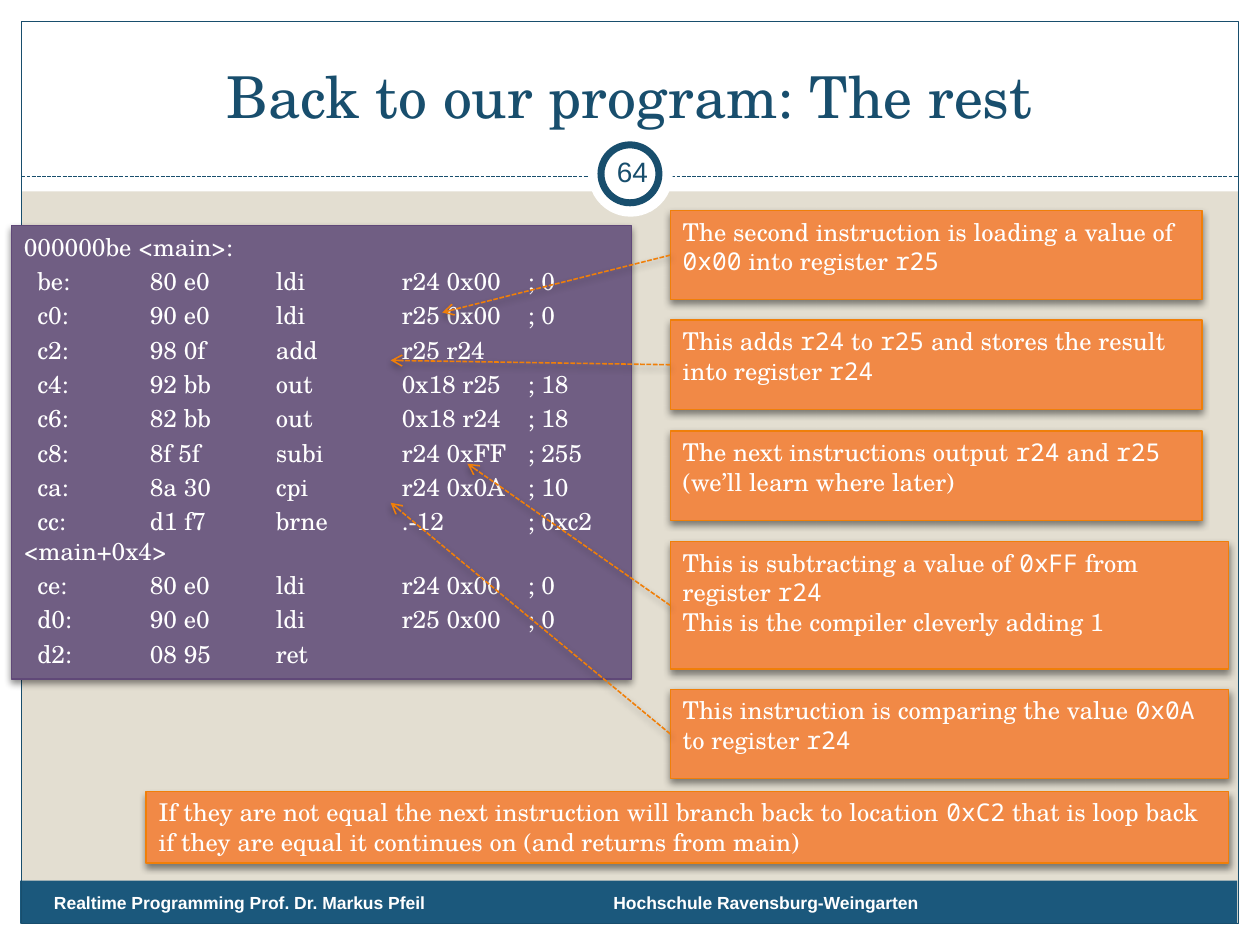
from dataclasses import dataclass
from typing import Optional

from lxml import etree
from pptx import Presentation
from pptx.dml.color import RGBColor
from pptx.enum.dml import MSO_LINE_DASH_STYLE as Dash
from pptx.enum.shapes import MSO_CONNECTOR, MSO_SHAPE as Preset
from pptx.enum.text import MSO_ANCHOR as Anchor, MSO_AUTO_SIZE as AutoSize, PP_ALIGN as Align
from pptx.oxml.ns import qn
from pptx.util import Inches, Pt

SERIF, MONO, SANS = "TeX Gyre Schola", "Noto Sans Mono", "Arial"
WHITE, NAVY, TEAL, SAND = "FFFFFF", "184E6D", "1B587C", "E3DED1"
PURPLE, PURPLE_EDGE = "705E83", "604878"
ORANGE, ORANGE_EDGE = "F18946", "F07F09"


@dataclass
class Callout:
    """A note whose `backticked` words are set in the mono font."""
    left: float
    top: float
    width: float
    height: float
    lines: list[str]
    target: Optional[tuple[float, float]] = None


CODE = """000000be <main>:
  be:\t80 e0\tldi\tr24 0x00\t; 0
  c0:\t90 e0\tldi\tr25 0x00\t; 0
  c2:\t98 0f\tadd\tr25 r24
  c4:\t92 bb\tout\t0x18 r25\t; 18
  c6:\t82 bb\tout\t0x18 r24\t; 18
  c8:\t8f 5f\tsubi\tr24 0xFF\t; 255
  ca:\t8a 30\tcpi\tr24 0x0A\t; 10
  cc:\td1 f7\tbrne\t.-12\t; 0xc2 <main+0x4>
  ce:\t80 e0\tldi\tr24 0x00\t; 0
  d0:\t90 e0\tldi\tr25 0x00\t; 0
  d2:\t08 95\tret"""

CALLOUTS = [
    Callout(5.32, 1.67, 4.22, 0.71,
            ["The second instruction is loading a value of `0x00` into register `r25`"], (3.51, 2.48)),
    Callout(5.32, 2.54, 4.22, 0.71,
            ["This adds `r24` to `r25` and stores the result into register `r24`"], (3.1, 2.86)),
    Callout(5.32, 3.42, 4.22, 0.71,
            ["The next instructions output `r24` and `r25` (we’ll learn where later)"]),
    Callout(5.32, 4.3, 4.43, 1.01,
            ["This is subtracting a value of `0xFF` from register `r24`",
             "This is the compiler cleverly adding 1"], (3.71, 3.68)),
    Callout(5.32, 5.47, 4.43, 0.71,
            ["This instruction is comparing the value `0x0A` to register `r24`"], (3.1, 3.99)),
    Callout(1.16, 6.28, 8.59, 0.57,
            ["If they are not equal the next instruction will branch back to location `0xC2` "
             "that is loop back if they are equal it continues on (and returns from main)"]),
]


def color(value: str) -> RGBColor:
    return RGBColor.from_string(value)


def add_effects(shape, opacity: int = 0) -> None:
    """Give the shape a soft drop shadow, or an empty effect list at zero opacity."""
    effects = etree.SubElement(shape._element.spPr, qn("a:effectLst"))
    if opacity:
        shadow = etree.SubElement(effects, qn("a:outerShdw"), blurRad=str(Pt(4)), dist=str(Pt(2)),
                                  dir=str(90 * 60000), rotWithShape="0")
        black = etree.SubElement(shadow, qn("a:srgbClr"), val="000000")
        etree.SubElement(black, qn("a:alpha"), val=str(opacity * 1000))


def add_panel(page, left: float, top: float, width: float, height: float, fill: Optional[str] = None,
              edge: Optional[str] = None, weight: float = 0.75, preset=Preset.RECTANGLE,
              shadow: int = 0):
    panel = page.shapes.add_shape(preset, Inches(left), Inches(top), Inches(width), Inches(height))
    if fill:
        panel.fill.solid()
        panel.fill.fore_color.rgb = color(fill)
    else:
        panel.fill.background()
    if edge:
        panel.line.color.rgb = color(edge)
        panel.line.width = Pt(weight)
    else:
        panel.line.fill.background()
    if shadow:
        add_effects(panel, shadow)
    else:
        panel.shadow.inherit = False
    panel.text_frame.word_wrap = True
    panel.text_frame.vertical_anchor = Anchor.TOP
    return panel


def add_dashed_line(page, start: tuple[float, float], end: tuple[float, float], ink: str, weight: float):
    line = page.shapes.add_connector(MSO_CONNECTOR.STRAIGHT, *map(Inches, start + end))
    line.line.color.rgb = color(ink)
    line.line.width = Pt(weight)
    line.line.dash_style = Dash.SQUARE_DOT
    return line


def style(para, size: float, ink: str, align=Align.LEFT, name: Optional[str] = None, bold: bool = False) -> None:
    para.alignment = align
    para.font.size = Pt(size)
    para.font.color.rgb = color(ink)
    para.font.bold = bold
    if name:
        para.font.name = name


def add_label(page, left: float, top: float, width: float, height: float, text: str, size: float,
              ink: str, name: str, align=Align.LEFT, anchor=Anchor.TOP, bold: bool = False):
    box = page.shapes.add_textbox(Inches(left), Inches(top), Inches(width), Inches(height))
    box.text_frame.word_wrap = True
    box.text_frame.vertical_anchor = anchor
    box.text_frame.text = text
    style(box.text_frame.paragraphs[0], size, ink, align, name, bold)
    return box


def add_code(page) -> None:
    frame = add_panel(page, 0.09, 1.79, 4.92, 3.6, PURPLE, PURPLE_EDGE, shadow=45).text_frame
    frame.text = CODE
    for index, para in enumerate(frame.paragraphs):
        para.space_before = Pt(2.8 if index else 0)
        tabs = etree.SubElement(para._p.get_or_add_pPr(), qn("a:tabLst"))
        for stop in range(1, 5):
            etree.SubElement(tabs, qn("a:tab"), pos=str(Inches(stop)), algn="l")
        style(para, 14, WHITE, name=SERIF)


def add_callout(page, note: Callout) -> None:
    panel = add_panel(page, note.left, note.top, note.width, note.height, ORANGE, ORANGE_EDGE, shadow=45)
    frame = panel.text_frame
    for index, line in enumerate(note.lines):
        para = frame.add_paragraph() if index else frame.paragraphs[0]
        style(para, 14, WHITE)
        for position, part in enumerate(line.split("`")):
            if part:
                span = para.add_run()
                span.text = part
                span.font.name = MONO if position % 2 else SERIF
    if note.target:
        start = (note.left, note.top + note.height / 2)
        arrow = add_dashed_line(page, start, note.target, ORANGE_EDGE, 0.9)
        arrow.begin_connect(panel, 1)
        etree.SubElement(arrow.line._get_or_add_ln(), qn("a:tailEnd"), type="arrow")
        add_effects(arrow, 35)


def add_frame(page) -> None:
    """Draw the white margins, footer band, border and page-number ring."""
    for margin in [(0, 7.33, 10, 0.17), (0, 0, 10, 1.52), (0, 0, 0.17, 7.5), (9.83, 0, 0.17, 7.5)]:
        add_panel(page, *margin, WHITE)
    add_panel(page, 0.16, 6.99, 9.66, 0.34, TEAL)
    add_panel(page, 0.17, 0.17, 9.66, 7.16, edge=NAVY)
    add_effects(add_dashed_line(page, (0.17, 1.4), (9.83, 1.4), NAVY, 0.75))
    add_panel(page, 4.67, 1.05, 0.67, 0.67, WHITE, preset=Preset.OVAL)
    add_panel(page, 4.77, 1.15, 0.46, 0.46, WHITE, NAVY, 4, Preset.OVAL)


def main() -> None:
    deck = Presentation()
    deck.slide_width, deck.slide_height = Inches(10), Inches(7.5)
    page = deck.slides.add_slide(deck.slide_layouts[6])
    page.background.fill.solid()
    page.background.fill.fore_color.rgb = color(SAND)

    add_frame(page)
    school = add_label(page, 4.77, 7.08, 3.29, 0.22, "Hochschule Ravensburg-Weingarten", 10, WHITE, SANS, bold=True)
    school.text_frame.auto_size = AutoSize.SHAPE_TO_FIT_TEXT
    school.text_frame.paragraphs[0].line_spacing = 0.65
    add_label(page, 0.33, 0.25, 9.33, 0.83, "Back to our program: The rest", 33, NAVY, SERIF,
              Align.CENTER, Anchor.BOTTOM)
    add_label(page, 0.33, 7.03, 3.92, 0.27, "Realtime Programming Prof. Dr. Markus Pfeil", 10, WHITE, SANS, bold=True)
    number = add_label(page, 4.77, 1.12, 0.5, 0.48, "64", 16, NAVY, SANS, Align.CENTER, Anchor.MIDDLE)
    number.text_frame.margin_left = number.text_frame.margin_right = Inches(0.05)

    add_code(page)
    for note in CALLOUTS:
        add_callout(page, note)
    deck.save("out.pptx")


if __name__ == "__main__":
    main()
